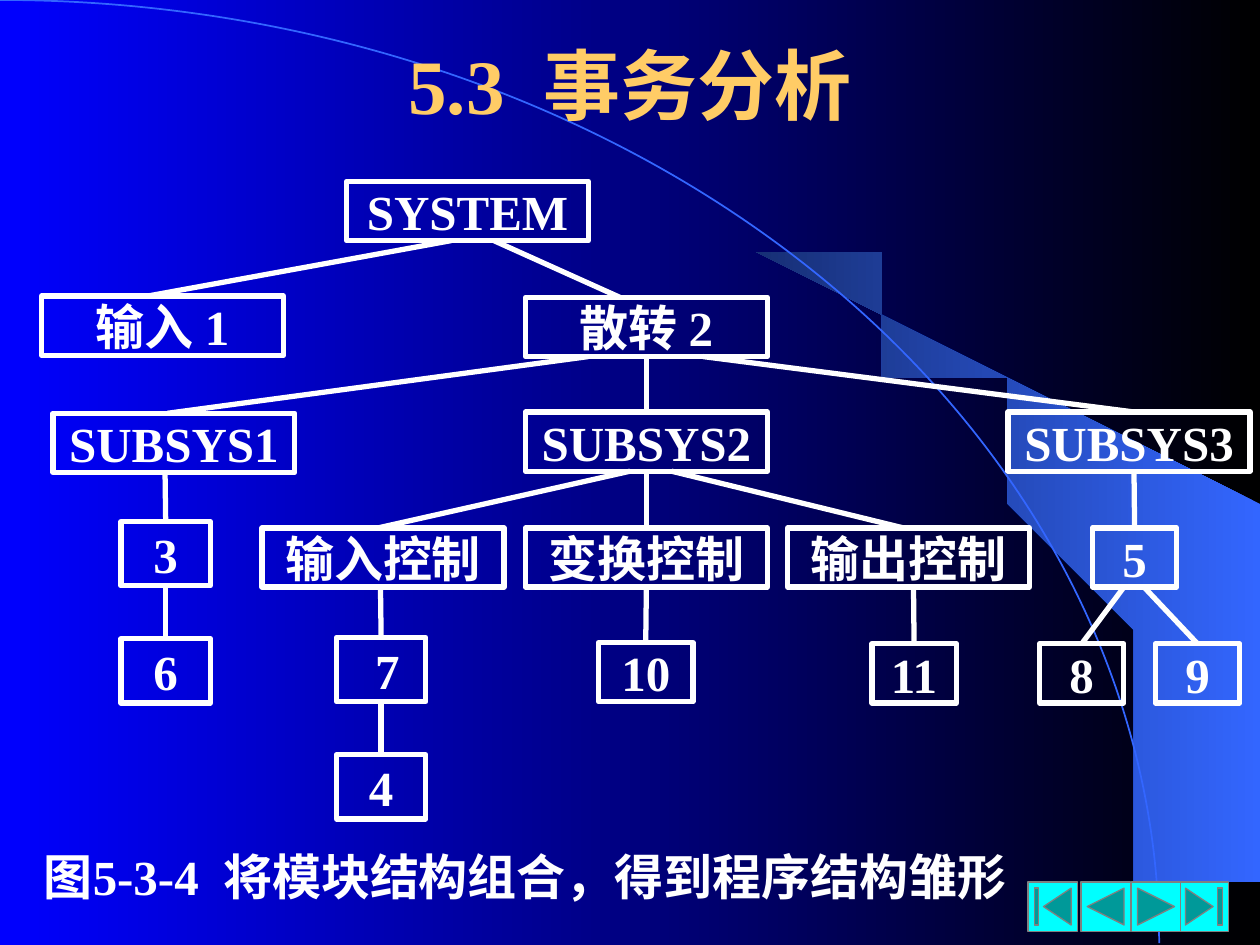
from lxml.etree import SubElement
from pptx import Presentation
from pptx.dml.color import RGBColor
from pptx.enum.shapes import MSO_CONNECTOR, MSO_SHAPE
from pptx.enum.text import MSO_ANCHOR, PP_ALIGN
from pptx.oxml.ns import qn
from pptx.util import Inches, Pt

COLORS = {key: RGBColor.from_string(value) for key, value in {
    "black": "000000", "blue": "0000FF", "sky": "3366FF", "navy": "172F75",
    "gold": "FFCC66", "white": "FFFFFF", "cyan": "00FFFF", "gray": "808080",
}.items()}


def set_gradient(fill, first, last):
    """Fade from first at the right to last at the left."""
    fill.gradient()
    fill.gradient_angle = 180
    for stop, color, position in zip(fill.gradient_stops, (first, last), (0, 1)):
        stop.color.rgb = COLORS[color]
        stop.position = position


def set_text(frame, text, size, color, alignment):
    frame.word_wrap = True
    paragraph = frame.paragraphs[0]
    paragraph.text = text
    paragraph.alignment = alignment
    paragraph.font.name = "Times New Roman"
    paragraph.font.size = Pt(size)
    paragraph.font.bold = True
    paragraph.font.color.rgb = COLORS[color]


prs = Presentation()
prs.slide_width, prs.slide_height = Inches(10), Inches(7.5)
slide = prs.slides.add_slide(prs.slide_layouts[5])
shapes = slide.shapes
set_gradient(slide.background.fill, "black", "blue")

# Crescent and arc behind the content
crescent_points = [
    (9.2, 7.48), (9.99, 7.49), (9.99, 4.23), (5.89, 1.73), (6.24, 1.99),
    (6.53, 2.22), (6.85, 2.5), (7.16, 2.8), (7.62, 3.3), (8.03, 3.84),
    (8.32, 4.31), (8.58, 4.79), (8.78, 5.28), (8.93, 5.72), (9.03, 6.09),
    (9.13, 6.56), (9.17, 6.96),
]
builder = shapes.build_freeform(*crescent_points[0], scale=Inches(1))
builder.add_line_segments(crescent_points[1:], close=True)
crescent = builder.convert_to_shape()
crescent.shadow.inherit = False
set_gradient(crescent.fill, "sky", "navy")
crescent.line.fill.background()

arc = shapes.add_shape(MSO_SHAPE.ARC, Inches(-9.2), 0, Inches(18.4), Inches(14.97))
arc.shadow.inherit = False
arc.fill.background()
arc.line.color.rgb = COLORS["sky"]
arc.line.width = Pt(1)

# Title, brought in front of the arc
title = shapes.title
title.element.getparent().append(title.element)
title.left, title.top = Inches(0.75), Inches(0.33)
title.width, title.height = Inches(8.5), Inches(0.67)
title.text_frame.vertical_anchor = MSO_ANCHOR.MIDDLE
set_text(title.text_frame, "5.3  事务分析", 44, "gold", PP_ALIGN.CENTER)

caption = shapes.add_textbox(Inches(0.25), Inches(6.67), Inches(8.5), Inches(0.75))
set_text(caption.text_frame, "图5-3-4  将模块结构组合，得到程序结构雏形", 28, "white", PP_ALIGN.LEFT)

# Navigation buttons
buttons = [
    (MSO_SHAPE.ACTION_BUTTON_BEGINNING, 8.16),
    (MSO_SHAPE.ACTION_BUTTON_END, 9.36),
    (MSO_SHAPE.ACTION_BUTTON_BACK_OR_PREVIOUS, 8.58),
    (MSO_SHAPE.ACTION_BUTTON_FORWARD_OR_NEXT, 8.98),
]
for kind, left in buttons:
    button = shapes.add_shape(kind, Inches(left), Inches(7), Inches(0.39), Inches(0.39))
    button.shadow.inherit = False
    button.fill.solid()
    button.fill.fore_color.rgb = COLORS["cyan"]
    button.line.color.rgb = COLORS["gray"]
    button.line.width = Pt(0.75)

# Modules: name, left, top, width, height
WIDE, NARROW, SQUARE = (1.92, 0.47), (0.67, 0.47), (0.71, 0.51)
module_specs = [
    ("SYSTEM", 2.75, 1.44, *WIDE),
    ("输入 1", 0.33, 2.35, *WIDE),
    ("散转 2", 4.17, 2.36, *WIDE),
    ("SUBSYS1", 0.42, 3.28, *WIDE),
    ("SUBSYS2", 4.17, 3.27, *WIDE),
    ("SUBSYS3", 8, 3.27, *WIDE),
    ("输入控制", 2.08, 4.19, *WIDE),
    ("变换控制", 4.17, 4.19, *WIDE),
    ("输出控制", 6.25, 4.19, *WIDE),
    ("3", 0.96, 4.14, *SQUARE),
    ("6", 0.96, 5.07, *SQUARE),
    ("7", 2.67, 5.06, *SQUARE),
    ("4", 2.67, 5.99, *SQUARE),
    ("10", 4.75, 5.1, 0.75, 0.47),
    ("11", 6.92, 5.11, *NARROW),
    ("5", 8.67, 4.19, *NARROW),
    ("8", 8.25, 5.11, *NARROW),
    ("9", 9.17, 5.11, *NARROW),
]
modules = {}
for name, *box in module_specs:
    module = shapes.add_shape(MSO_SHAPE.RECTANGLE, *map(Inches, box))
    module.shadow.inherit = False
    module.fill.background()
    module.line.color.rgb = COLORS["white"]
    module.line.width = Pt(3)
    frame = module.text_frame
    frame.margin_left = frame.margin_right = frame.margin_top = frame.margin_bottom = 0
    frame.vertical_anchor = MSO_ANCHOR.MIDDLE
    set_text(frame, name, 28, "white", PP_ALIGN.CENTER)
    modules[name] = module
modules["7"].text_frame.margin_left = Inches(0.1)

# Calls: caller, callee, x at each end (None joins the middle of the side)
calls = [
    ("SYSTEM", "输入 1", 3.58, 1.17),
    ("SYSTEM", "散转 2", 3.92, 4.92),
    ("散转 2", "SUBSYS1", 4.67, 1.33),
    ("散转 2", "SUBSYS2", None, None),
    ("散转 2", "SUBSYS3", 5.58, 9),
    ("SUBSYS1", "3", 1.31, None),
    ("3", "6", None, None),
    ("SUBSYS2", "输入控制", 5, 3),
    ("SUBSYS2", "变换控制", None, None),
    ("SUBSYS2", "输出控制", 5.33, 7.17),
    ("输入控制", "7", 3.02, None),
    ("7", "4", None, None),
    ("变换控制", "10", None, None),
    ("输出控制", "11", 7.25, None),
    ("SUBSYS3", "5", 9, None),
    ("5", "8", 8.92, None),
    ("5", "9", 9.08, None),
]
for caller_name, callee_name, start_x, end_x in calls:
    caller, callee = modules[caller_name], modules[callee_name]
    call = shapes.add_connector(
        MSO_CONNECTOR.STRAIGHT,
        Inches(start_x or 0), caller.top + caller.height,
        Inches(end_x or 0), callee.top,
    )
    if start_x is None:
        call.begin_connect(caller, 2)
    if end_x is None:
        call.end_connect(callee, 0)
    call.line.color.rgb = COLORS["white"]
    call.line.width = Pt(3)
    SubElement(call.element.spPr, qn("a:effectLst"))

prs.save("out.pptx")
